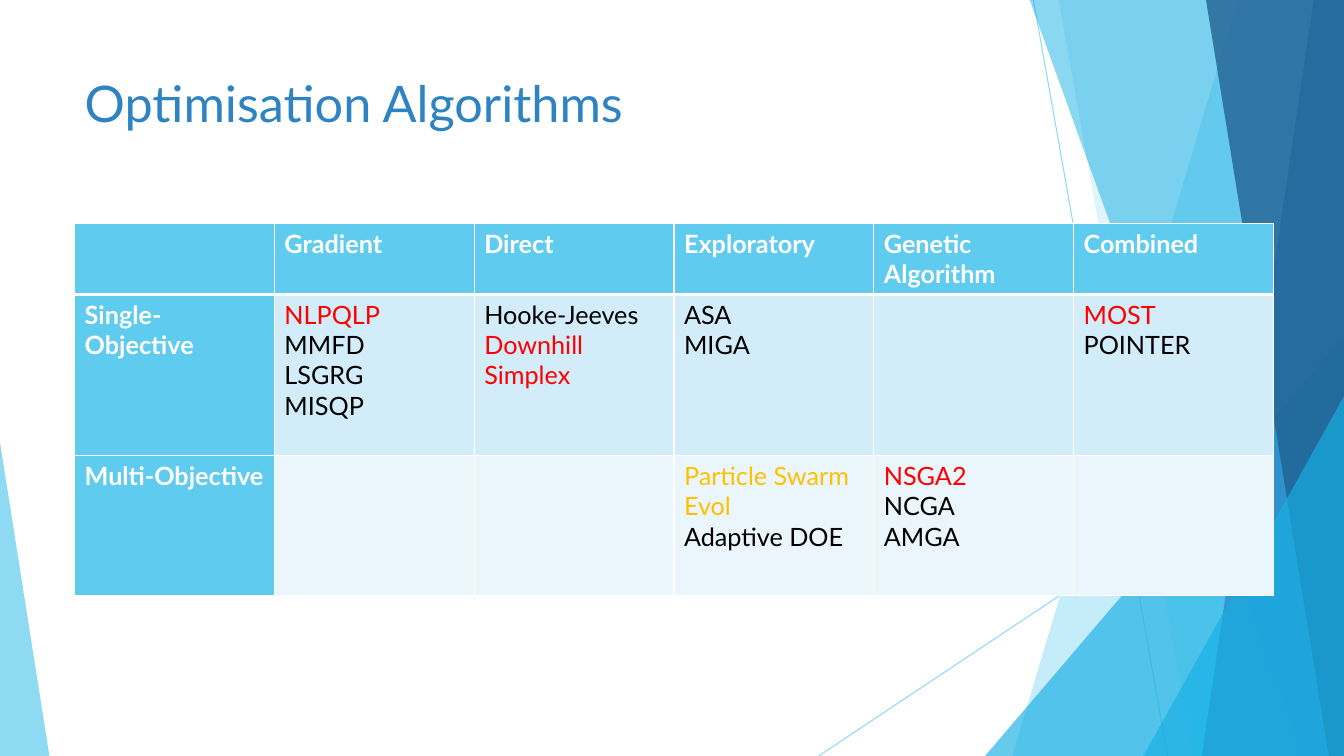
from lxml import etree
from pptx import Presentation
from pptx.dml.color import RGBColor
from pptx.enum.shapes import MSO_CONNECTOR, MSO_SHAPE
from pptx.enum.text import MSO_ANCHOR, PP_ALIGN
from pptx.oxml.ns import qn
from pptx.util import Inches, Pt

LINE = MSO_CONNECTOR.STRAIGHT
WEDGE = MSO_SHAPE.ISOSCELES_TRIANGLE
TOP = MSO_ANCHOR.TOP
LEFT = PP_ALIGN.LEFT

FONT = "Lato"
WIDE, HIGH = 13.33, 7.5
SKY, BLUE, DEEP, NAVY = "5FCBEF", "17B0E4", "2E83C3", "226292"
WHITE, BLACK, RED, GOLD = "FFFFFF", "000000", "FF0000", "FFC000"
BANDS = ["D2ECF9", "EAF6FC"]
HUES = {
    "NLPQLP": RED, "Downhill Simplex": RED, "MOST": RED, "NSGA2": RED,
    "Particle Swarm": GOLD, "Evol": GOLD,
}
ROWS = [
    ["", "Gradient", "Direct", "Exploratory", "Genetic Algorithm", "Combined"],
    ["Single-Objective", "NLPQLP\nMMFD\nLSGRG\nMISQP",
     "Hooke-Jeeves\nDownhill Simplex", "ASA\nMIGA", "", "MOST\nPOINTER"],
    ["Multi-Objective", "", "", "Particle Swarm\nEvol\nAdaptive DOE",
     "NSGA2\nNCGA\nAMGA", ""],
]
TALL = [0.7, 1.6, 1.39]


def rgb(code):
    return RGBColor.from_string(code)


def fade(fill, alpha):
    color = fill._xPr.find(".//" + qn("a:srgbClr"))
    etree.SubElement(color, qn("a:alpha"), val=str(alpha * 1000))


def paint(shape, code, alpha):
    shape.shadow.inherit = False
    shape.line.fill.background()
    shape.fill.solid()
    shape.fill.fore_color.rgb = rgb(code)
    fade(shape.fill, alpha)


def add_line(slide, *ends):
    line = slide.shapes.add_connector(LINE, *[Inches(v) for v in ends])
    line.line.width = Pt(0.75)
    line.line.color.rgb = rgb(SKY)
    fade(line.line.fill, 70)
    etree.SubElement(line._element.spPr, qn("a:effectLst"))


def add_shard(slide, top, base, code, alpha):
    rim = -0.01
    spots = [(top, rim), (WIDE, rim), (WIDE, HIGH), (base, HIGH)]
    spots = [(Inches(x), Inches(y)) for x, y in spots]
    path = slide.shapes.build_freeform(*spots[0])
    path.add_line_segments(spots[1:], close=True)
    paint(path.convert_to_shape(), code, alpha)


def add_wedge(slide, left, top, width, tip, code, alpha):
    box = [Inches(v) for v in (left, top, width, HIGH - top)]
    wedge = slide.shapes.add_shape(WEDGE, *box)
    wedge.adjustments[0] = tip
    paint(wedge, code, alpha)


def add_decor(slide):
    add_line(slide, 10.25, 0, 11.58, HIGH)
    add_line(slide, WIDE, 4.03, 8.12, HIGH)
    add_shard(slide, 12.28, 10.04, SKY, 36)
    add_shard(slide, 10.5, 11.83, SKY, 20)
    add_wedge(slide, 9.77, 3.33, 3.56, 1, BLUE, 66)
    add_shard(slide, 10.21, 12.91, BLUE, 50)
    add_shard(slide, 13.03, 11.92, DEEP, 70)
    add_shard(slide, 11.96, 13.18, NAVY, 80)
    add_wedge(slide, 11.34, 3.93, 1.99, 1, BLUE, 66)
    add_wedge(slide, 0, 4.39, 0.49, 0, SKY, 70)


def style(para, size, code, bold=False):
    para.alignment = LEFT
    para.font.name = FONT
    para.font.size = Pt(size)
    para.font.bold = bold
    para.font.color.rgb = rgb(code)


def set_title(slide, text):
    title = slide.shapes.title
    title.left, title.top = Inches(0.74), Inches(0.67)
    title.width, title.height = Inches(9.4), Inches(1.44)
    frame = title.text_frame
    frame.text = text
    frame.vertical_anchor = TOP
    style(frame.paragraphs[0], 36, DEEP)
    slide.shapes._spTree.append(title._element)


def edge(cell, side, width):
    line = etree.Element(qn("a:ln" + side), w=str(Pt(width)))
    fill = etree.SubElement(line, qn("a:solidFill"))
    etree.SubElement(fill, qn("a:srgbClr"), val=WHITE)
    return line


def set_cell(cell, text, row, col):
    head = row == 0 or col == 0
    cell.fill.solid()
    cell.fill.fore_color.rgb = rgb(SKY if head else BANDS[row - 1])
    cell.text = text
    for para in cell.text_frame.paragraphs:
        code = WHITE if head else HUES.get(para.text, BLACK)
        style(para, 18, code, head)
    widths = {"L": 1, "R": 1, "T": 3 if row == 1 else 1,
              "B": 3 if row == 0 else 1}
    props = cell._tc.get_or_add_tcPr()
    for spot, (side, width) in enumerate(widths.items()):
        props.insert(spot, edge(cell, side, width))


def add_grid(slide):
    box = [Inches(v) for v in (0.74, 2.22, 11.89, sum(TALL))]
    grid = slide.shapes.add_table(len(ROWS), len(ROWS[0]), *box).table
    for row, texts in enumerate(ROWS):
        grid.rows[row].height = Inches(TALL[row])
        for col, text in enumerate(texts):
            set_cell(grid.cell(row, col), text, row, col)


def main():
    deck = Presentation()
    deck.slide_width, deck.slide_height = Inches(WIDE), Inches(HIGH)
    slide = deck.slides.add_slide(deck.slide_layouts[5])
    add_decor(slide)
    set_title(slide, "Optimisation Algorithms")
    add_grid(slide)
    deck.save("out.pptx")


if __name__ == "__main__":
    main()
